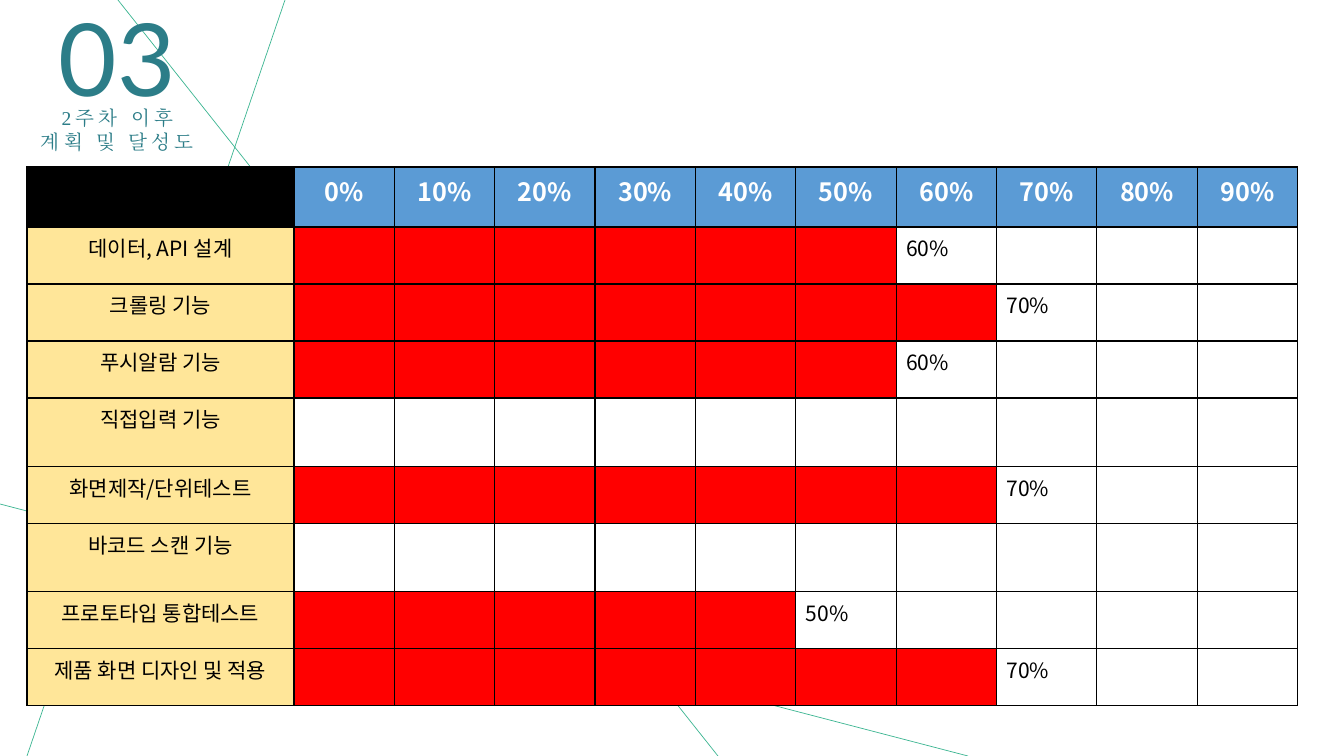
from pptx import Presentation
from pptx.dml.color import RGBColor
from pptx.enum.shapes import MSO_CONNECTOR
from pptx.enum.text import MSO_AUTO_SIZE, PP_ALIGN
from pptx.oxml.ns import qn
from pptx.util import Emu, Pt
from lxml import etree

STRAIGHT = MSO_CONNECTOR.STRAIGHT
CENTER, LEFT = PP_ALIGN.CENTER, PP_ALIGN.LEFT
GROW = MSO_AUTO_SIZE.SHAPE_TO_FIT_TEXT

EMU_PER_PX = 914400 / 100.8
BLACK = RGBColor(0x00, 0x00, 0x00)
WHITE = RGBColor(0xFF, 0xFF, 0xFF)
GREEN = RGBColor(0x3D, 0xB6, 0x92)
TEAL = RGBColor(0x2C, 0x7D, 0x88)
BLUE = RGBColor(0x5B, 0x9B, 0xD5)
CREAM = RGBColor(0xFF, 0xE6, 0x99)
RED = RGBColor(0xFF, 0x00, 0x00)
NUMBER_FONT, TITLE_FONT, TABLE_FONT = "Lato", "Times New Roman", "Noto Sans CJK KR"

# Task, share reached in tenths, row height
TASKS = [
    ("데이터, API 설계", 6, 57),
    ("크롤링 기능", 7, 57),
    ("푸시알람 기능", 6, 57),
    ("직접입력 기능", 0, 69),
    ("화면제작/단위테스트", 7, 57),
    ("바코드 스캔 기능", 0, 68),
    ("프로토타입 통합테스트", 5, 57),
    ("제품 화면 디자인 및 적용", 7, 57),
]
HEADER_HEIGHT = 60
STEPS = 10


def px(length):
    return Emu(round(length * EMU_PER_PX))


class ProgressSlide:
    def __init__(self, deck):
        self.page = deck.slides.add_slide(deck.slide_layouts[6])

    def style_text(self, frame, font, size, color, align=CENTER, bold=False, spacing=0):
        for para in frame.paragraphs:
            para.alignment = align
            for span in para.runs:
                span.font.name = font
                span.font.size = Pt(size)
                span.font.bold = bold
                span.font.color.rgb = color
                properties = span.font._element
                if spacing:
                    properties.set("spc", str(spacing * 100))
                east_asian = etree.Element(qn("a:ea"), typeface=font)
                properties.find(qn("a:latin")).addnext(east_asian)

    def line(self, start, end):
        connector = self.page.shapes.add_connector(
            STRAIGHT, *(px(value) for value in start + end))
        connector.line.color.rgb = GREEN
        connector.line.width = Pt(0.5)
        etree.SubElement(connector._element.spPr, qn("a:effectLst"))

    def text(self, place, wording, font, size, spacing=0):
        box = self.page.shapes.add_textbox(*(px(value) for value in place))
        frame = box.text_frame
        frame.word_wrap = True
        frame.auto_size = GROW
        frame.text = wording
        self.style_text(frame, font, size, TEAL, spacing=spacing)

    def cell(self, cell, fill, wording="", size=15, color=BLACK, align=CENTER, bold=False):
        properties = cell._tc.get_or_add_tcPr()
        for side in ("a:lnL", "a:lnR", "a:lnT", "a:lnB"):
            border = etree.SubElement(properties, qn(side), w=str(Pt(1)))
            solid = etree.SubElement(border, qn("a:solidFill"))
            etree.SubElement(solid, qn("a:srgbClr"), val=str(BLACK))
        cell.fill.solid()
        cell.fill.fore_color.rgb = fill
        if wording:
            cell.text_frame.text = wording
            self.style_text(cell.text_frame, TABLE_FONT, size, color, align, bold)

    def progress_table(self, left, top, label_width, steps_width):
        heights = [HEADER_HEIGHT] + [height for _, _, height in TASKS]
        table = self.page.shapes.add_table(
            len(heights), STEPS + 1, px(left), px(top),
            px(label_width + steps_width), px(sum(heights))).table
        for row, height in zip(table.rows, heights):
            row.height = px(height)
        for index, column in enumerate(table.columns):
            column.width = px(steps_width / STEPS if index else label_width)

        # Header row
        self.cell(table.cell(0, 0), BLACK)
        for step in range(STEPS):
            self.cell(table.cell(0, step + 1), BLUE, f"{step * 10}%", 18, WHITE, bold=True)

        # One bar of red cells per task, followed by its percentage
        for row, (task, reached, _) in enumerate(TASKS, start=1):
            self.cell(table.cell(row, 0), CREAM, task)
            for step in range(STEPS):
                share = f"{reached * 10}%" if reached and step == reached else ""
                fill = RED if step < reached else WHITE
                self.cell(table.cell(row, step + 1), fill, share, align=LEFT)


def main():
    deck = Presentation()
    deck.slide_width, deck.slide_height = px(1344), px(756)
    slide = ProgressSlide(deck)

    # Background lines
    slide.line((27, 756), (285, 0))
    slide.line((718, 756), (118, 0))
    slide.line((0, 504), (968, 756))

    # Section number and title
    slide.text((23, -9, 188, 132), "03", NUMBER_FONT, 72)
    slide.text((-35, 101, 305, 57), "2주차 이후\n계획 및 달성도", TITLE_FONT, 14, spacing=3)

    # Progress by task
    slide.progress_table(27, 167, 267, 1004)

    deck.save("out.pptx")


if __name__ == "__main__":
    main()
